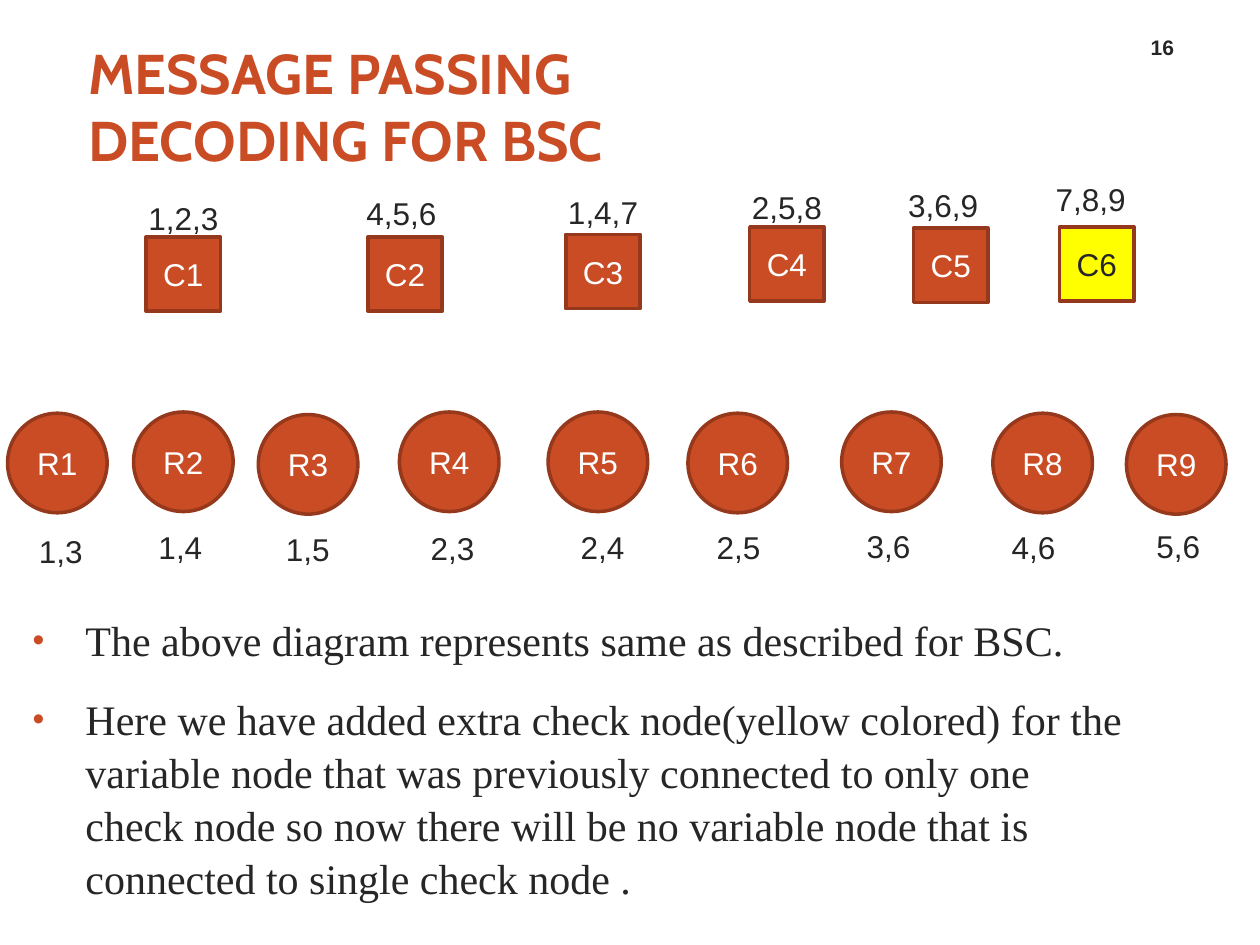
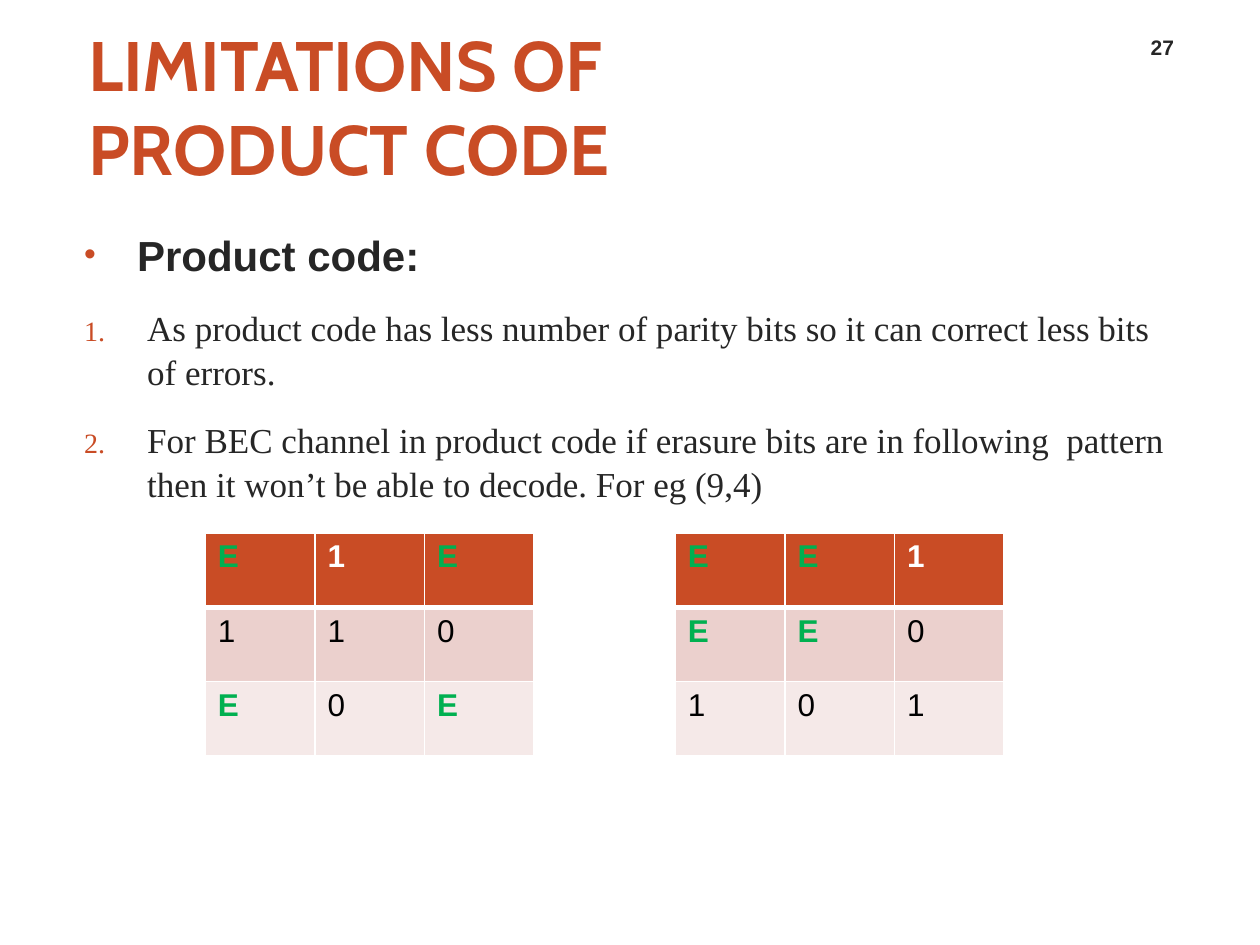
from dataclasses import dataclass
from typing import Optional

from lxml import etree
from pptx import Presentation
from pptx.dml.color import RGBColor
from pptx.enum.shapes import MSO_SHAPE
from pptx.enum.text import MSO_ANCHOR, MSO_AUTO_SIZE, PP_ALIGN
from pptx.oxml.ns import qn
from pptx.util import Inches, Pt

SQUARE, CIRCLE = MSO_SHAPE.RECTANGLE, MSO_SHAPE.OVAL
LEFT, CENTER = PP_ALIGN.LEFT, PP_ALIGN.CENTER
TOP, MIDDLE, BOTTOM = MSO_ANCHOR.TOP, MSO_ANCHOR.MIDDLE, MSO_ANCHOR.BOTTOM
NO_AUTOFIT = MSO_AUTO_SIZE.NONE
TITLE_ONLY = 5


@dataclass(frozen=True)
class Theme:
    accent: str = "C94C25"
    outline: str = "95381B"
    ink: str = "262626"
    white: str = "FFFFFF"
    black: str = "000000"
    highlight: str = "FFFF00"
    erasure: str = "00B050"
    odd_row: str = "EBD0CD"
    even_row: str = "F5E9E8"
    title_font: str = "Cabin"
    sans: str = "Arial"
    serif: str = "Times New Roman"
    label_size: int = 18
    number_size: int = 12
    heading_size: int = 24


THEME = Theme()


@dataclass(frozen=True)
class Node:
    """A graph node and the list of its neighbours, each placed in inches."""
    name: str
    left: float
    top: float
    neighbours: str
    list_left: float
    list_top: float
    fill: str = THEME.accent
    color: str = THEME.white


@dataclass(frozen=True)
class Point:
    text: str
    size: int = THEME.heading_size
    font: str = THEME.serif
    bold: bool = False
    numbered: bool = False


CHECK_SIZE, VARIABLE_SIZE = 0.59, 0.79
CHECK_NODES = (
    Node("C1", 1.16, 1.88, "1,2,3", 1.08, 1.53),
    Node("C2", 2.92, 1.88, "4,5,6", 2.81, 1.49),
    Node("C3", 4.49, 1.86, "1,4,7", 4.41, 1.48),
    Node("C4", 5.95, 1.8, "2,5,8", 5.87, 1.44),
    Node("C5", 7.25, 1.81, "3,6,9", 7.11, 1.43),
    Node("C6", 8.41, 1.8, "7,8,9", 8.28, 1.38, THEME.highlight, THEME.ink),
)
VARIABLE_NODES = (
    Node("R1", 0.06, 3.28, "1,3", 0.21, 4.17),
    Node("R2", 1.06, 3.27, "1,4", 1.16, 4.14),
    Node("R3", 2.05, 3.29, "1,5", 2.17, 4.16),
    Node("R4", 3.17, 3.27, "2,3", 3.32, 4.15),
    Node("R5", 4.35, 3.27, "2,4", 4.51, 4.14),
    Node("R6", 5.46, 3.28, "2,5", 5.59, 4.14),
    Node("R7", 6.68, 3.27, "3,6", 6.78, 4.13),
    Node("R8", 7.88, 3.28, "4,6", 7.93, 4.14),
    Node("R9", 8.94, 3.29, "5,6", 9.08, 4.13),
)
DECODING_POINTS = (
    Point("The above diagram represents same as described for BSC."),
    Point("Here we have added extra check node(yellow colored) for the variable node "
          "that was previously connected to only one check node so now there will be "
          "no variable node that is connected to single check node ."),
)
LIMITATION_POINTS = (
    Point("Product code:", font=THEME.sans, bold=True),
    Point("As product code has less number of parity bits so it can correct less bits "
          "of errors.", size=20, numbered=True),
    Point("For BEC channel in product code if erasure bits are in following  pattern "
          "then it won’t be able to decode. For eg (9,4)", size=20, numbered=True),
)
ERASURE_PATTERNS = (
    (1.63, ("E1E", "110", "E0E")),
    (5.36, ("EE1", "EE0", "101")),
)
PATTERN_TOP, CELL_WIDTH, CELL_HEIGHT = 4.23, 0.87, 0.59


def rgb(color: str) -> RGBColor:
    return RGBColor.from_string(color)


def write(para, text: str, *, size: int = THEME.label_size, font: str = THEME.sans,
          color: str = THEME.ink, bold: bool = False, align=LEFT) -> None:
    para.alignment = align
    span = para.add_run()
    span.text = text
    span.font.size = Pt(size)
    span.font.name = font
    span.font.bold = bold
    span.font.color.rgb = rgb(color)


def add_box(page, left: float, top: float, width: float, height: float, anchor=TOP):
    """Add a wrapping text box and return its text frame."""
    box = page.shapes.add_textbox(Inches(left), Inches(top), Inches(width), Inches(height))
    frame = box.text_frame
    frame.word_wrap = True
    frame.vertical_anchor = anchor
    return frame


def add_page(deck, title: str, title_size: int, number: int):
    page = deck.slides.add_slide(deck.slide_layouts[TITLE_ONLY])
    heading = page.shapes.title
    heading.left, heading.top = Inches(0.5), Inches(0.4)
    heading.width, heading.height = Inches(5.33), Inches(0.87)
    frame = heading.text_frame
    frame.auto_size = NO_AUTOFIT
    frame.word_wrap = True
    frame.vertical_anchor = MIDDLE
    frame.margin_left = frame.margin_right = 0
    para = frame.paragraphs[0]
    write(para, title, size=title_size, font=THEME.title_font, color=THEME.accent, bold=True)
    para._p.get_or_add_pPr().set("marL", str(Inches(0.2)))

    corner = add_box(page, 8.95, 0.19, 0.55, 0.33, BOTTOM)
    write(corner.paragraphs[0], str(number), size=THEME.number_size, bold=True, align=CENTER)
    return page


def set_bullet(para, numbered: bool) -> None:
    properties = para._p.get_or_add_pPr()
    margin, hanging = (0.57, 0.5) if numbered else (0.49, 0.42)
    properties.set("marL", str(Inches(margin)))
    properties.set("indent", str(-Inches(hanging)))
    color = etree.SubElement(properties, qn("a:buClr"))
    etree.SubElement(color, qn("a:srgbClr"), val=THEME.accent)
    etree.SubElement(properties, qn("a:buSzPct"), val="80000")
    if numbered:
        etree.SubElement(properties, qn("a:buAutoNum"), type="arabicPeriod")
    else:
        etree.SubElement(properties, qn("a:buFont"), typeface=THEME.sans)
        etree.SubElement(properties, qn("a:buChar"), char="•")


def add_points(page, points: tuple[Point, ...], left: float, top: float, height: float) -> None:
    frame = add_box(page, left, top, 9, height)
    for index, point in enumerate(points):
        para = frame.add_paragraph() if index else frame.paragraphs[0]
        write(para, point.text, size=point.size, font=point.font, bold=point.bold)
        para.line_spacing = 1.05
        para.space_before = Pt(0.2 * point.size)
        para.space_after = Pt(10)
        set_bullet(para, point.numbered)


def add_node(page, node: Node, kind, size: float) -> None:
    shape = page.shapes.add_shape(kind, Inches(node.left), Inches(node.top),
                                  Inches(size), Inches(size))
    shape.shadow.inherit = False
    shape.fill.solid()
    shape.fill.fore_color.rgb = rgb(node.fill)
    shape.line.color.rgb = rgb(THEME.outline)
    shape.line.width = Pt(2)
    shape.text_frame.vertical_anchor = MIDDLE
    write(shape.text_frame.paragraphs[0], node.name, color=node.color, align=CENTER)
    label = add_box(page, node.list_left, node.list_top, 1.07, 0.4)
    write(label.paragraphs[0], node.neighbours)


def set_borders(cell, top: Optional[int] = 1, bottom: Optional[int] = 1) -> None:
    """Draw white borders; widths are in points."""
    properties = cell._tc.get_or_add_tcPr()
    for tag, width in (("a:lnL", 1), ("a:lnR", 1), ("a:lnT", top), ("a:lnB", bottom)):
        line = etree.SubElement(properties, qn(tag), w=str(Pt(width)))
        fill = etree.SubElement(line, qn("a:solidFill"))
        etree.SubElement(fill, qn("a:srgbClr"), val=THEME.white)


def add_pattern(page, left: float, rows: tuple[str, ...]) -> None:
    """Draw a table of code bits, one character a cell."""
    row_count, column_count = len(rows), len(rows[0])
    table = page.shapes.add_table(
        row_count, column_count, Inches(left), Inches(PATTERN_TOP),
        Inches(CELL_WIDTH * column_count), Inches(CELL_HEIGHT * row_count)).table
    table.horz_banding = False
    row_fills = (THEME.accent, THEME.odd_row, THEME.even_row)
    for row, (bits, fill) in enumerate(zip(rows, row_fills)):
        header = row == 0
        for column, bit in enumerate(bits):
            cell = table.cell(row, column)
            set_borders(cell, top=3 if row == 1 else 1, bottom=3 if header else 1)
            cell.fill.solid()
            cell.fill.fore_color.rgb = rgb(fill)
            erased = bit == "E"
            plain = THEME.white if header else THEME.black
            write(cell.text_frame.paragraphs[0], bit, bold=header or erased,
                  color=THEME.erasure if erased else plain)


def build_decoding(deck) -> None:
    page = add_page(deck, "MESSAGE PASSING DECODING FOR BSC", 32, 16)
    add_points(page, DECODING_POINTS, 0.09, 4.81, 2.34)
    for node in VARIABLE_NODES:
        add_node(page, node, CIRCLE, VARIABLE_SIZE)
    for node in CHECK_NODES:
        add_node(page, node, SQUARE, CHECK_SIZE)


def build_limitations(deck) -> None:
    page = add_page(deck, "LIMITATIONS OF PRODUCT CODE", 40, 27)
    add_points(page, LIMITATION_POINTS, 0.5, 1.75, 5)
    for left, rows in ERASURE_PATTERNS:
        add_pattern(page, left, rows)


def main() -> None:
    deck = Presentation()
    deck.slide_width, deck.slide_height = Inches(10), Inches(7.5)
    build_decoding(deck)
    build_limitations(deck)
    deck.save("out.pptx")


if __name__ == "__main__":
    main()
